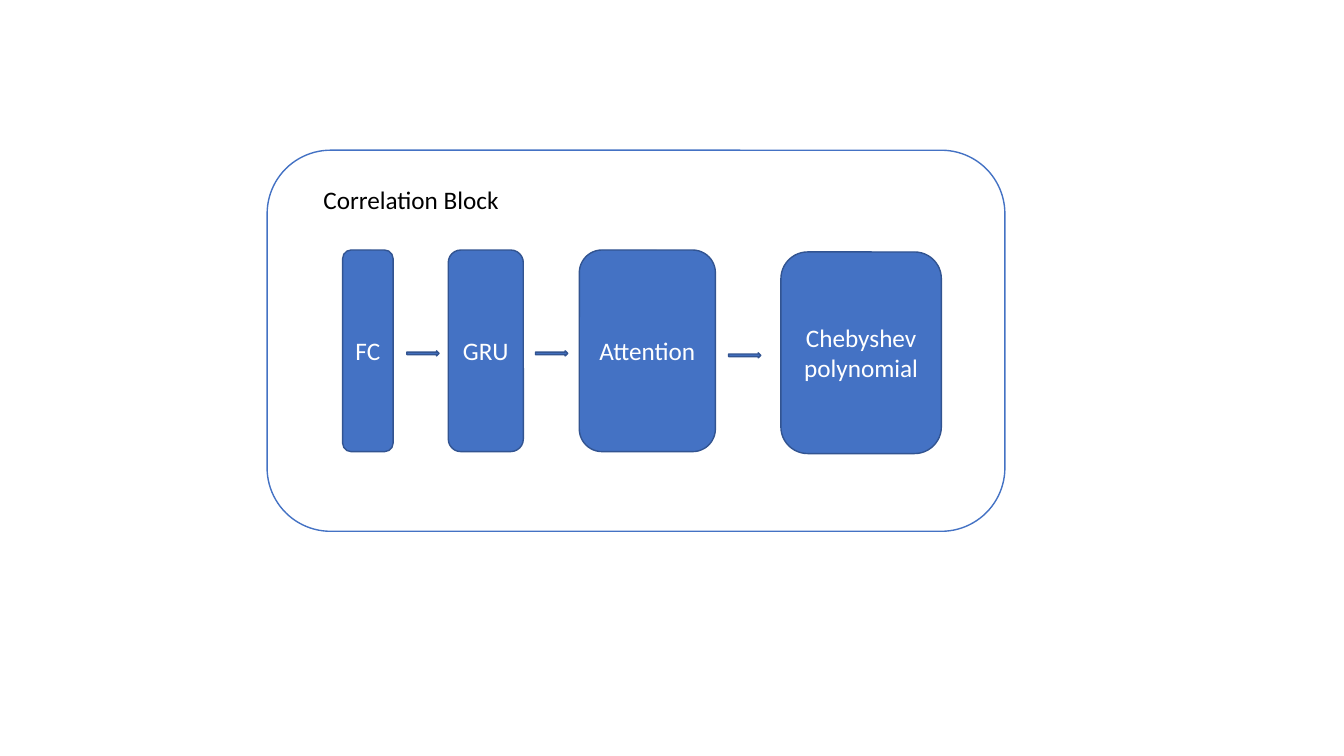
from dataclasses import dataclass

from pptx import Presentation
from pptx.dml.color import RGBColor
from pptx.enum.shapes import MSO_SHAPE
from pptx.enum.text import MSO_ANCHOR, PP_ALIGN
from pptx.util import Pt

ROUND_RECT = MSO_SHAPE.ROUNDED_RECTANGLE
RIGHT_ARROW = MSO_SHAPE.RIGHT_ARROW
LEFT, CENTER = PP_ALIGN.LEFT, PP_ALIGN.CENTER
TOP, MIDDLE = MSO_ANCHOR.TOP, MSO_ANCHOR.MIDDLE

COLORS = {
    "blue": "4472C4",
    "edge": "325491",
    "white": "FFFFFF",
    "black": "000000",
}
LAYER_HEIGHT = 144
ARROW_WIDTH, ARROW_HEIGHT = 23, 3.6
ARROW_DROP = 72  # from the top of a layer to the top of its arrow


@dataclass
class Layer:
    label: str
    left: float
    width: float
    top: float = 178.6


@dataclass
class Arrow:
    left: float
    layer_top: float = 178.6


LAYERS = [
    Layer("FC", 244.8, 36),
    Layer("GRU", 320.2, 53.6),
    Layer("Attention", 413.8, 97.2),
    Layer("Chebyshev polynomial", 557.8, 114.6, top=180),
]
ARROWS = [Arrow(290.6), Arrow(382.5), Arrow(520.4, layer_top=180)]


def rgb(name: str) -> RGBColor:
    return RGBColor.from_string(COLORS[name])


def write_text(s, text: str, *, color: str = "white", align=CENTER,
               anchor=MIDDLE, size: float = 18, font: str = "Calibri") -> None:
    tf = s.text_frame
    tf.word_wrap = True
    tf.vertical_anchor = anchor
    p = tf.paragraphs[0]
    p.alignment = align
    r = p.add_run()
    r.text = text
    r.font.size = Pt(size)
    r.font.name = font
    r.font.color.rgb = rgb(color)


def add_block(slide, kind, left: float, top: float, width: float,
              height: float, fill: str = "blue", line: str = "edge"):
    """Add a filled and outlined preset shape, measured in points."""
    s = slide.shapes.add_shape(kind, Pt(left), Pt(top), Pt(width), Pt(height))
    s.shadow.inherit = False
    s.fill.solid()
    s.fill.fore_color.rgb = rgb(fill)
    s.line.color.rgb = rgb(line)
    s.line.width = Pt(1)
    return s


def add_layer(slide, layer: Layer) -> None:
    s = add_block(slide, ROUND_RECT, layer.left, layer.top, layer.width, LAYER_HEIGHT)
    write_text(s, layer.label)


def add_arrow(slide, arrow: Arrow) -> None:
    add_block(slide, RIGHT_ARROW, arrow.left, arrow.layer_top + ARROW_DROP,
              ARROW_WIDTH, ARROW_HEIGHT)


def main() -> None:
    prs = Presentation()
    prs.slide_width, prs.slide_height = Pt(960), Pt(540)
    slide = prs.slides.add_slide(prs.slide_layouts[6])

    add_block(slide, ROUND_RECT, 190.8, 107.3, 527, 272.2, fill="white", line="blue")
    title = slide.shapes.add_textbox(Pt(223.9), Pt(128.2), Pt(181.4), Pt(29))
    write_text(title, "Correlation Block", color="black", align=LEFT, anchor=TOP)

    for layer in LAYERS:
        add_layer(slide, layer)
    for arrow in ARROWS:
        add_arrow(slide, arrow)

    prs.save("out.pptx")


if __name__ == "__main__":
    main()
